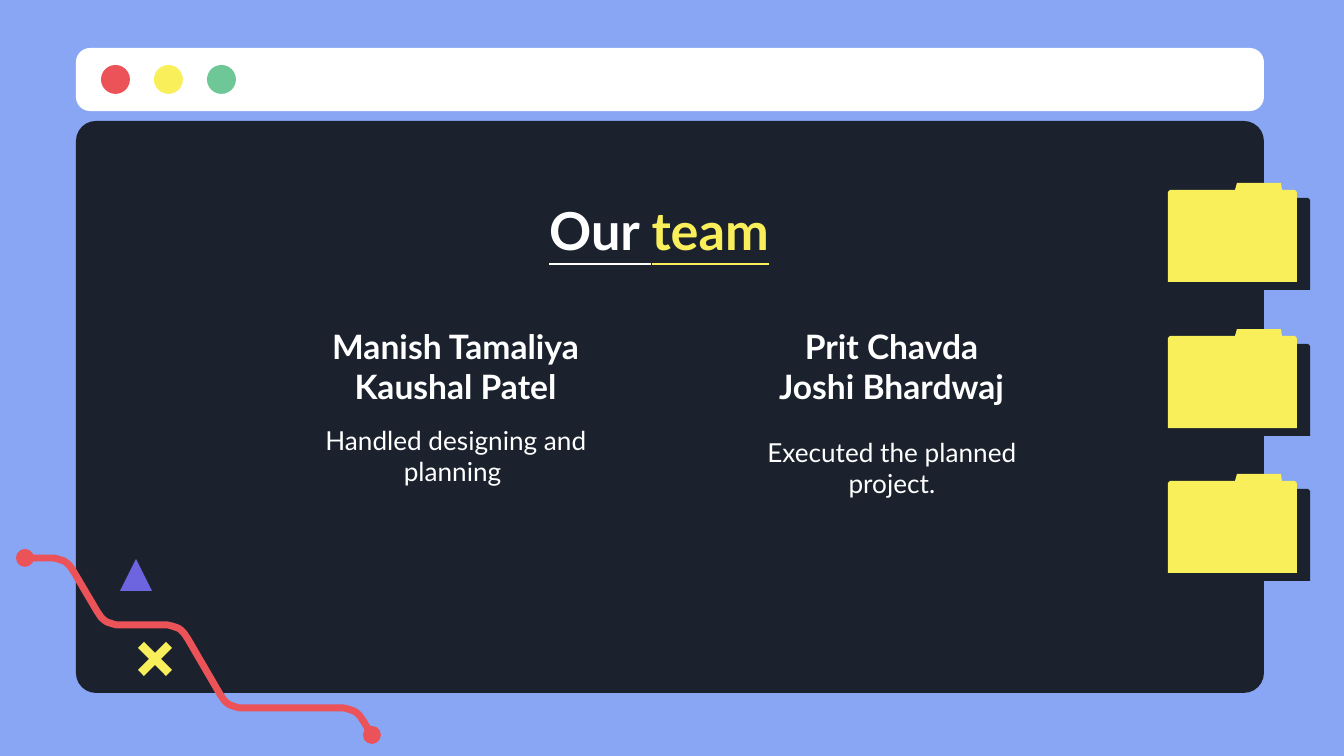
"""Build the "Our team" slide: a browser window with folders and two team groups."""
from lxml.etree import SubElement
from pptx import Presentation
from pptx.dml.color import RGBColor
from pptx.enum.shapes import MSO_SHAPE as SHAPE
from pptx.enum.text import MSO_ANCHOR as ANCHOR, PP_ALIGN as ALIGN
from pptx.oxml.ns import qn
from pptx.util import Pt

SCALE = 914400 / 134.4
BLUE = RGBColor(0x88, 0xA6, 0xF3)
NAVY = RGBColor(0x1B, 0x22, 0x2D)
WHITE = RGBColor(0xFF, 0xFF, 0xFF)
RED = RGBColor(0xEB, 0x53, 0x58)
YELLOW = RGBColor(0xF8, 0xEF, 0x5B)
GREEN = RGBColor(0x6D, 0xC7, 0x97)
PURPLE = RGBColor(0x6D, 0x65, 0xE0)

HEADING = {"size": Pt(28), "bold": True, "underline": True}
NAMES = {"size": Pt(18), "bold": True}
ROLE = {"size": Pt(14)}


def px(n):
    return round(n * SCALE)


def round_corners(points, cut, steps=8):
    """Return the polyline with each inner corner replaced by a quadratic curve."""
    path = [points[0]]
    for before, corner, after in zip(points, points[1:], points[2:]):
        ends = []
        for x, y in (before, after):
            dx, dy = x - corner[0], y - corner[1]
            t = cut / (dx * dx + dy * dy) ** 0.5
            ends.append((corner[0] + dx * t, corner[1] + dy * t))
        for i in range(steps + 1):
            t = i / steps
            path.append(tuple((1 - t) ** 2 * a + 2 * t * (1 - t) * b + t * t * c
                              for a, b, c in zip(ends[0], corner, ends[1])))
    return path + [points[-1]]


class Deck:
    """Hold the font and the current slide, and draw each kind of element."""

    font = "Lato"

    def __init__(self, slide, background):
        self.shapes = slide.shapes
        slide.background.fill.solid()
        slide.background.fill.fore_color.rgb = background

    def paint(self, sp, color):
        sp.shadow.inherit = False
        sp.fill.solid()
        sp.fill.fore_color.rgb = color
        sp.line.fill.background()
        return sp

    def shape(self, kind, box, color, adj=None):
        sp = self.shapes.add_shape(kind, *map(px, box))
        if adj is not None:
            sp.adjustments[0] = adj
        return self.paint(sp, color)

    def dot(self, x, y, size, color):
        return self.shape(SHAPE.OVAL, (x, y, size, size), color)

    def outline(self, points, close=True):
        fb = self.shapes.build_freeform(*points[0], scale=SCALE)
        fb.add_line_segments(points[1:], close=close)
        return fb.convert_to_shape()

    def polygon(self, points, color):
        return self.paint(self.outline(points), color)

    def stroke(self, points, color, width):
        sp = self.outline(points, close=False)
        sp.shadow.inherit = False
        sp.fill.background()
        sp.line.color.rgb = color
        sp.line.width = px(width)
        return sp

    def hard_shadow(self, sp, color, dist, angle):
        effects = sp._element.spPr.find(qn("a:effectLst"))
        shadow = SubElement(effects, qn("a:outerShdw"), dist=str(Pt(dist)),
                            dir=str(angle * 60000), algn="bl", rotWithShape="0")
        SubElement(shadow, qn("a:srgbClr"), val=str(color))

    def text(self, box, lines, style, align=ALIGN.CENTER, anchor=ANCHOR.MIDDLE, after=0):
        tf = self.shapes.add_textbox(*map(px, box)).text_frame
        margins = dict.fromkeys(
            ("margin_left", "margin_top", "margin_right", "margin_bottom"), Pt(7.2))
        for name, value in {"word_wrap": True, "vertical_anchor": anchor, **margins}.items():
            setattr(tf, name, value)
        p = tf.paragraphs[0]
        p.alignment, p.space_after = align, Pt(after)
        for i, line in enumerate(lines):
            if i:
                p.add_line_break()
            for words, color in line:
                r = p.add_run()
                r.text = words
                for name, value in {"name": self.font, **style}.items():
                    setattr(r.font, name, value)
                r.font.color.rgb = color


def main():
    prs = Presentation()
    prs.slide_width, prs.slide_height = px(1344), px(756)
    deck = Deck(prs.slides.add_slide(prs.slide_layouts[6]), BLUE)

    deck.shape(SHAPE.ROUNDED_RECTANGLE, (76, 121, 1188, 572), NAVY, 0.035)
    deck.shape(SHAPE.ROUNDED_RECTANGLE, (76, 48, 1188, 63), WHITE, 0.223)
    for i, color in enumerate((RED, YELLOW, GREEN)):
        deck.dot(101 + 53 * i, 65, 29, color)

    folder = [(0, 99), (0, 9), (2, 7), (67, 7), (69, 0), (113, 0),
              (114, 7), (127, 7), (129, 9), (129, 99)]
    for top in (183, 329, 474):
        sp = deck.polygon([(1168 + x, top + y) for x, y in folder], YELLOW)
        deck.hard_shadow(sp, NAVY, 8.2, 31)

    deck.text((536, 188, 352, 83), [[("Our ", WHITE), ("team", YELLOW)]],
              HEADING, align=ALIGN.JUSTIFY)
    groups = (
        (278, 411, ("Manish Tamaliya", "Kaushal Patel"), "Handled designing and planning "),
        (714, 423, ("Prit Chavda", "Joshi Bhardwaj"), "Executed the planned project."),
    )
    for left, role_top, names, role in groups:
        deck.text((left, 327, 355, 78), [[(name, WHITE)] for name in names], NAMES)
        deck.text((left, role_top, 356, 100), [[(role, WHITE)]], ROLE,
                  anchor=ANCHOR.TOP, after=16)

    track = [(25, 558), (66, 558), (105, 625), (180, 625), (228, 708), (356, 708), (372, 735)]
    deck.stroke(round_corners(track, 16), RED, 7)
    for x, y in (track[0], track[-1]):
        deck.dot(x - 9, y - 9, 18, RED)

    deck.polygon([(136, 559), (152, 591), (120, 591)], PURPLE)
    arm, cross = [(6, 0), (17, 11), (11, 17)], []
    for _ in range(4):
        cross += [(155 + x, 659 + y) for x, y in arm]
        arm = [(-y, x) for x, y in arm]
    deck.polygon(cross, YELLOW)

    prs.save("out.pptx")


if __name__ == "__main__":
    main()
